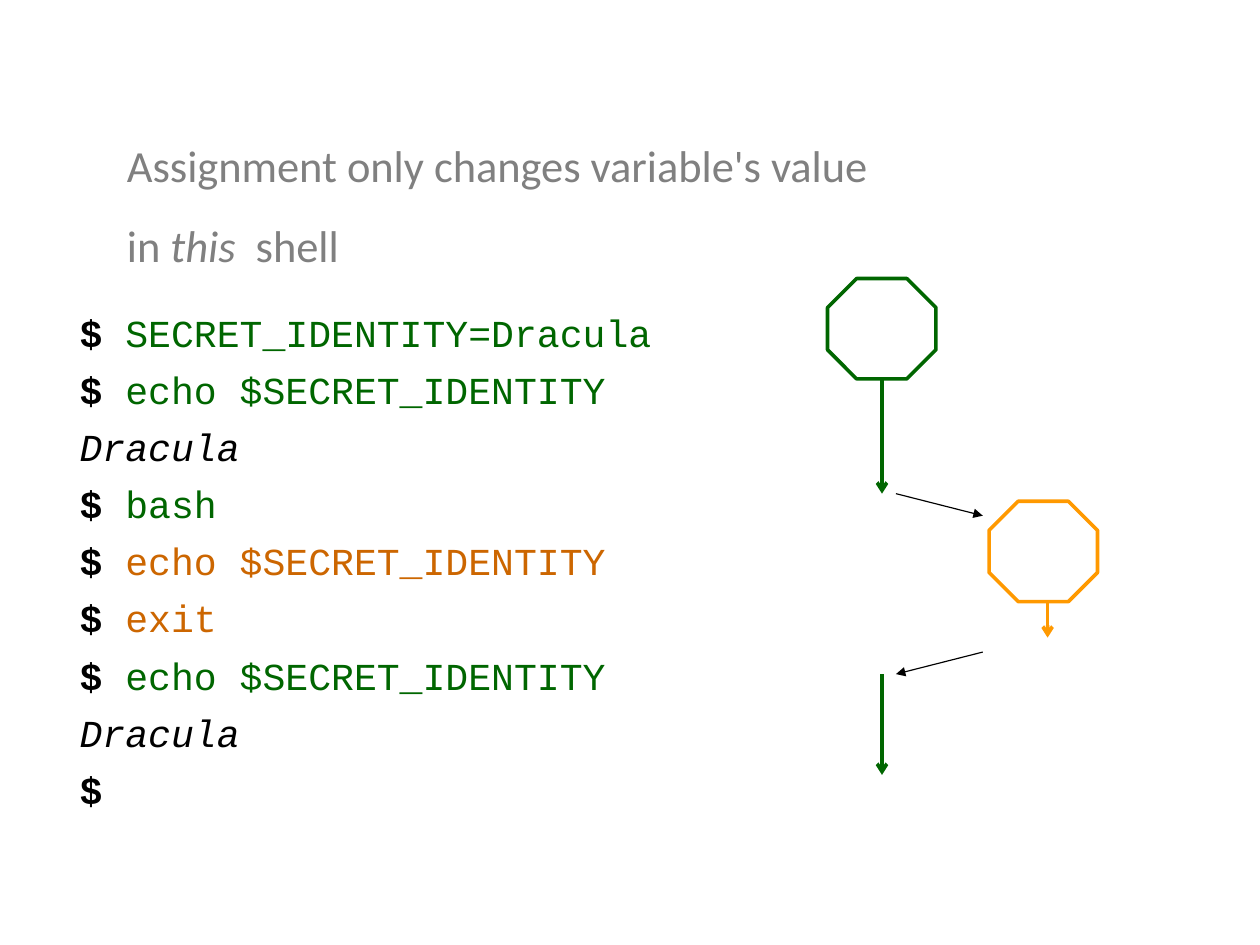
from lxml import etree
from pptx import Presentation
from pptx import util as u
from pptx.dml.color import RGBColor
from pptx.enum import shapes, text
from pptx.oxml.ns import qn

# Content
COLORS = {"title": "808080", "prompt": "000000", "output": "000000",
          "parent": "006600", "child": "CC6600", "child_line": "FF9900",
          "switch": "000000"}

TITLE = [
    [("Assignment only changes variable's value", False)],
    [("in ", False), ("this", True), ("  shell", False)],
]

# Each session line: who runs it, and what is typed or printed
SESSION = [
    ("parent", "SECRET_IDENTITY=Dracula"),
    ("parent", "echo $SECRET_IDENTITY"),
    ("output", "Dracula"),
    ("parent", "bash"),
    ("child", "echo $SECRET_IDENTITY"),
    ("child", "exit"),
    ("parent", "echo $SECRET_IDENTITY"),
    ("output", "Dracula"),
    ("parent", ""),
]

# Geometry in centimetres
SLIDE = (28, 21)
TITLE_AT = (2.57, 2.34, 17.15, 3.86)
SESSION_AT = (1.52, 6.49, 24.08, 11.84)
SHELL_SIZE = (2.41, 2.23)
SHELLS = [("parent", 18.39, 6.19), ("child_line", 21.98, 11.14)]

PARENT_X, CHILD_X = 19.6, 23.28
SWITCH_LEFT, SWITCH_RIGHT = 19.91, 21.84
FORK_Y, RETURN_Y = 10.97, 14.98

# Arrows: colour, start, end, width in points, head
ARROWS = [
    ("parent", (PARENT_X, 8.41), (PARENT_X, FORK_Y), 2.25, "arrow"),
    ("parent", (PARENT_X, RETURN_Y), (PARENT_X, 17.22), 2.25, "arrow"),
    ("child_line", (CHILD_X, 13.38), (CHILD_X, 14.17), 2.25, "arrow"),
    ("switch", (SWITCH_LEFT, FORK_Y), (SWITCH_RIGHT, 11.46), 0.75, "triangle"),
    ("switch", (SWITCH_RIGHT, 14.49), (SWITCH_LEFT, RETURN_Y), 0.75, "triangle"),
]


def cm(values):
    return [u.Cm(value) for value in values]


def color(name):
    return RGBColor.from_string(COLORS[name])


def add_box(page, place):
    frame = page.shapes.add_textbox(*cm(place)).text_frame
    settings = {"word_wrap": True, "auto_size": text.MSO_AUTO_SIZE.NONE,
                "vertical_anchor": text.MSO_ANCHOR.TOP}
    for name, value in settings.items():
        setattr(frame, name, value)
    return frame


def add_para(frame, index, spacing):
    para = frame.add_paragraph() if index else frame.paragraphs[0]
    para.line_spacing = spacing
    return para


def add_span(para, words, color_name, **settings):
    span = para.add_run()
    span.text = words
    for name, value in settings.items():
        setattr(span.font, name, value)
    span.font.color.rgb = color(color_name)


def add_title(page):
    frame = add_box(page, TITLE_AT)
    for index, spans in enumerate(TITLE):
        para = add_para(frame, index, 1.5)
        for words, italic in spans:
            add_span(para, words, "title", name="Calibri", size=u.Pt(28),
                     italic=italic)


def add_session(page):
    frame = add_box(page, SESSION_AT)
    code = {"name": "Courier New", "size": u.Pt(24)}
    for index, (owner, words) in enumerate(SESSION):
        para = add_para(frame, index, 1.25)
        if owner != "output":
            add_span(para, "$ " if words else "$", "prompt", bold=True, **code)
        if words:
            add_span(para, words, owner, italic=owner == "output", **code)


def add_shell(page, color_name, left, top):
    shell = page.shapes.add_shape(shapes.MSO_SHAPE.OCTAGON,
                                  *cm((left, top, *SHELL_SIZE)))
    shell.shadow.inherit = False
    shell.adjustments[0] = 0.29
    shell.fill.background()
    shell.line.color.rgb = color(color_name)
    shell.line.width = u.Pt(2.25)


def add_arrow(page, color_name, start, end, width, head):
    arrow = page.shapes.add_connector(shapes.MSO_CONNECTOR.STRAIGHT,
                                      *cm(start + end))
    arrow.line.color.rgb = color(color_name)
    arrow.line.width = u.Pt(width)
    outline = arrow._element.spPr.find(qn("a:ln"))
    etree.SubElement(outline, qn("a:tailEnd"), type=head)
    etree.SubElement(arrow._element.spPr, qn("a:effectLst"))


def main():
    deck = Presentation()
    deck.slide_width, deck.slide_height = cm(SLIDE)
    page = deck.slides.add_slide(deck.slide_layouts[6])

    # Terminal session
    add_session(page)

    # Parent and child shells with their timelines
    for shell in SHELLS:
        add_shell(page, *shell)
    for arrow in ARROWS:
        add_arrow(page, *arrow)

    # Heading
    add_title(page)
    deck.save("out.pptx")


if __name__ == "__main__":
    main()
